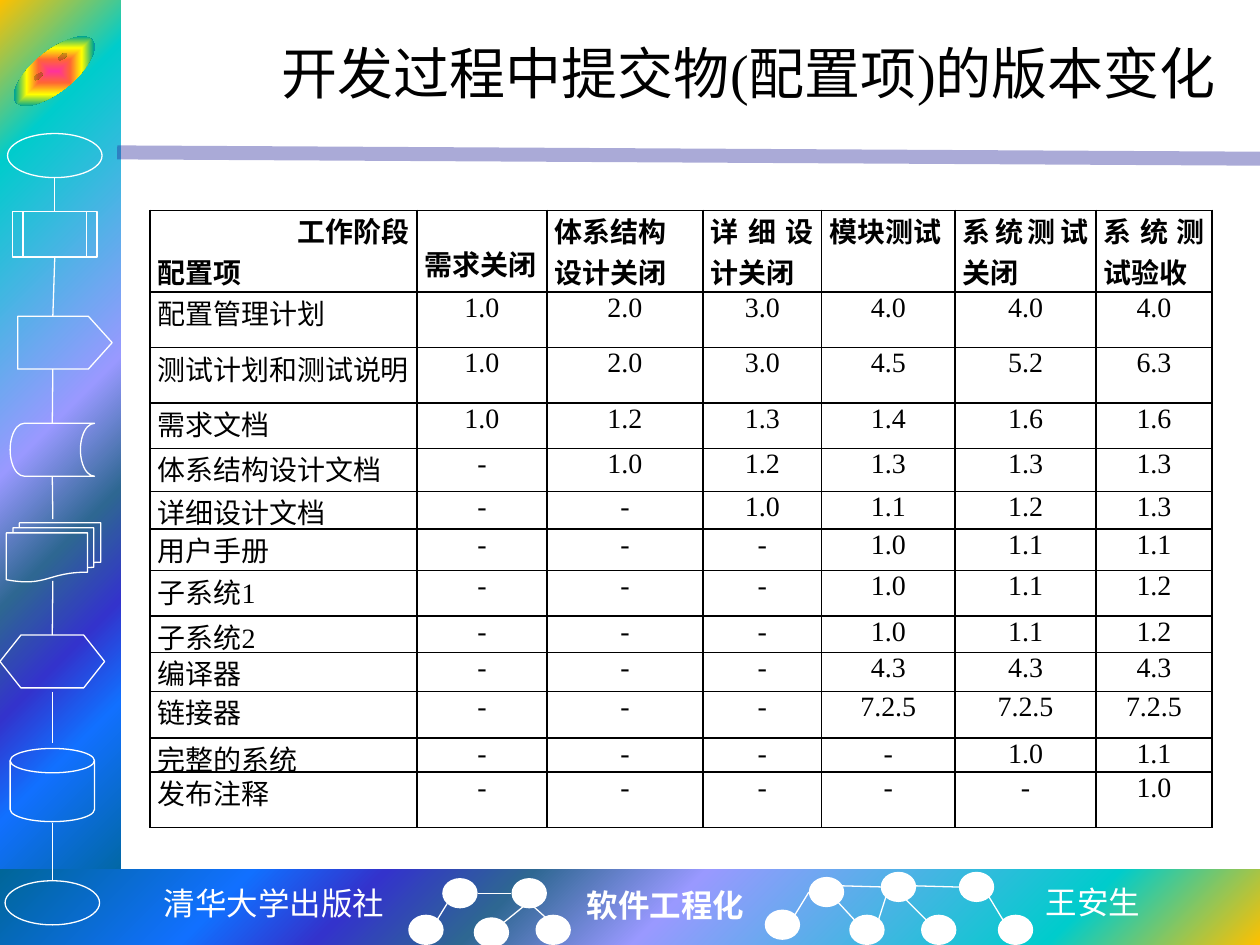
import pptx
import pptx.dml.color
import pptx.enum.shapes
import pptx.enum.text
import pptx.oxml
import pptx.oxml.ns
import pptx.util
from lxml import etree

Pt = pptx.util.Pt
SHAPE = pptx.enum.shapes.MSO_SHAPE
ALIGN = pptx.enum.text.PP_ALIGN
ANCHOR = pptx.enum.text.MSO_ANCHOR
qn = pptx.oxml.ns.qn

COLORS = {"white": "FFFFFF", "black": "000000", "rule": "262699"}
FONT, ASIAN_FONT = "Times New Roman", "Noto Sans CJK SC"

PANEL_STOPS = [(0, "FFC000"), (16, "00CCCC"), (47, "9999FF"), (60, "2E6792"),
               (71, "3333CC"), (81, "1170FF"), (100, "006699")]
FACE_STOPS = [(0, "FF3399"), (25, "FF6633"), (50, "FFFF00"), (75, "01A78F"), (100, "3366FF")]

# Flowchart symbols down the sidebar: name, preset, left, top, width, height
SYMBOLS = [
    ("start", SHAPE.OVAL, 4.3, 76.3, 54, 25.2),
    ("process", SHAPE.FLOWCHART_PREDEFINED_PROCESS, 7.2, 121, 48.2, 25.9),
    ("arrow", SHAPE.PENTAGON, 10.1, 180.7, 54, 30.2),
    ("storage", SHAPE.FLOWCHART_STORED_DATA, 5.8, 241.9, 48.2, 30.2),
    ("documents", SHAPE.FLOWCHART_MULTIDOCUMENT, 3.6, 298.8, 54, 33.8),
    ("preparation", SHAPE.FLOWCHART_PREPARATION, 0, 362.9, 59.8, 30.2),
    ("disk", SHAPE.FLOWCHART_MAGNETIC_DISK, 5.8, 427.7, 48.2, 41.8),
    ("end", SHAPE.OVAL, 2.9, 503.3, 54, 25.2),
]
# Links between symbols: ends, then the symbols joined at bottom and top
LINKS = [
    (31.3, 101.2, 31.3, 121, None, "process"),
    (31.3, 146.9, 30.2, 180.7, "process", None),
    (30.2, 211, 30.2, 241.9, None, "storage"),
    (30.2, 272.1, 30.2, 296.6, "storage", None),
    (30.2, 331.9, 30.2, 362.9, None, "preparation"),
    (30.2, 395.3, 30.2, 424.8, None, None),
    (30.2, 470.2, 30.2, 503.3, None, None),
]
# Trees of nodes in the footer
NODES = [(252.7, 501.8), (292.3, 501.8), (233.3, 522.7), (270.7, 524.2), (306, 522.7),
         (437, 519.8), (462.2, 501.1), (503.3, 498.2), (547.9, 498.2),
         (485.3, 522.7), (526.3, 522.7), (570.2, 522.7)]
BRANCHES = [(249.8, 525.6, 255.6, 516.2), (288, 527, 299.5, 517.7),
            (292.3, 510.5, 272.9, 510.5), (312.5, 524.9, 305.3, 518.4),
            (454.3, 522.7, 462.2, 509.8), (488.2, 525.6, 478.8, 515.5),
            (481, 506.2, 506.2, 506.9), (501.8, 526.3, 506.2, 512.6),
            (529.2, 525.6, 514.8, 511.2), (522.7, 506.2, 547.9, 506.9),
            (573.1, 525.6, 565.2, 512.6)]

COLUMN_WIDTHS = [152.6, 74.2, 89.3, 67.7, 76.3, 80.6, 66.2]
ROW_HEIGHTS = [46.8, 31.7, 31.7, 25.9, 24.5, 21.6, 23.8, 25.9, 20.9, 22.3, 26.6, 19.4, 31.7]
HEADINGS = ["工作阶段\n配置项", "需求关闭", "体系结构\n设计关闭", "详细设计关闭",
            "模块测试", "系统测试关闭", "系统测试验收"]
VERSIONS = [
    ("配置管理计划", "1.0 2.0 3.0 4.0 4.0 4.0"),
    ("测试计划和测试说明", "1.0 2.0 3.0 4.5 5.2 6.3"),
    ("需求文档", "1.0 1.2 1.3 1.4 1.6 1.6"),
    ("体系结构设计文档", "- 1.0 1.2 1.3 1.3 1.3"),
    ("详细设计文档", "- - 1.0 1.1 1.2 1.3"),
    ("用户手册", "- - - 1.0 1.1 1.1"),
    ("子系统1", "- - - 1.0 1.1 1.2"),
    ("子系统2", "- - - 1.0 1.1 1.2"),
    ("编译器", "- - - 4.3 4.3 4.3"),
    ("链接器", "- - - 7.2.5 7.2.5 7.2.5"),
    ("完整的系统", "- - - - 1.0 1.1"),
    ("发布注释", "- - - - - 1.0"),
]


def rgb(name):
    return pptx.dml.color.RGBColor.from_string(COLORS[name])


def write_text(frame, text, size=16, bold=False, color="black", font=FONT, align=ALIGN.LEFT):
    for index, line in enumerate(text.split("\n")):
        para = frame.paragraphs[0] if index == 0 else frame.add_paragraph()
        para.alignment = align
        span = para.add_run()
        span.text = line
        span.font.size, span.font.bold, span.font.name = Pt(size), bold, font
        span.font.color.rgb = rgb(color)
        etree.SubElement(span.font._element, qn("a:ea")).set("typeface", ASIAN_FONT)


def add_label(page, text, left, top, width, height, wrap=False, **style):
    box = page.shapes.add_textbox(Pt(left), Pt(top), Pt(width), Pt(height))
    box.text_frame.word_wrap = wrap
    if wrap:
        box.text_frame.vertical_anchor = ANCHOR.MIDDLE
    else:
        box.text_frame.auto_size = pptx.enum.text.MSO_AUTO_SIZE.SHAPE_TO_FIT_TEXT
    write_text(box.text_frame, text, **style)


def add_figure(page, preset, left, top, width, height, fill=None, line=None):
    figure = page.shapes.add_shape(preset, Pt(left), Pt(top), Pt(width), Pt(height))
    figure.shadow.inherit = False
    for part, color in ((figure.fill, fill), (figure.line.fill, line)):
        if color:
            part.solid()
            part.fore_color.rgb = rgb(color)
        else:
            part.background()
    figure.line.width = Pt(0.75)
    return figure


def set_gradient(figure, stops, kind, left, top, right, bottom):
    marks = "".join(f'<a:gs pos="{at * 1000}"><a:srgbClr val="{color}"/></a:gs>'
                    for at, color in stops)
    gradient = pptx.oxml.parse_xml(
        f'<a:gradFill {pptx.oxml.ns.nsdecls("a")} rotWithShape="1"><a:gsLst>{marks}</a:gsLst>'
        f'<a:path path="{kind}"><a:fillToRect l="{left}000" t="{top}000" '
        f'r="{right}000" b="{bottom}000"/></a:path></a:gradFill>')
    properties = figure._element.spPr
    properties.replace(properties.find(qn("a:noFill")), gradient)


def add_line(page, x1, y1, x2, y2, color="white", width=0.75, opacity=None):
    line = page.shapes.add_connector(pptx.enum.shapes.MSO_CONNECTOR.STRAIGHT,
                                     Pt(x1), Pt(y1), Pt(x2), Pt(y2))
    line.line.color.rgb = rgb(color)
    line.line.width = Pt(width)
    properties = line._element.spPr
    etree.SubElement(properties, qn("a:effectLst"))
    if opacity:
        tint = properties.find(".//" + qn("a:srgbClr"))
        etree.SubElement(tint, qn("a:alpha")).set("val", str(opacity * 1000))
    return line


def fill_cell(cell, text, **style):
    cell.margin_left = cell.margin_right = Pt(4.5)
    cell.margin_top = cell.margin_bottom = 0
    write_text(cell.text_frame, text, **style)
    properties = cell._tc.get_or_add_tcPr()
    for side in ("lnL", "lnR", "lnT", "lnB"):
        properties.append(pptx.oxml.parse_xml(
            f'<a:{side} {pptx.oxml.ns.nsdecls("a")} w="{Pt(1)}"><a:solidFill>'
            f'<a:srgbClr val="{COLORS["black"]}"/></a:solidFill></a:{side}>'))
    cell.fill.background()


def add_version_table(page):
    table = page.shapes.add_table(len(ROW_HEIGHTS), len(COLUMN_WIDTHS), Pt(85.7), Pt(120.2),
                                  Pt(sum(COLUMN_WIDTHS)), Pt(sum(ROW_HEIGHTS))).table
    table.first_row = table.horz_banding = False
    for column, width in zip(table.columns, COLUMN_WIDTHS):
        column.width = Pt(width)
    for row, height in zip(table.rows, ROW_HEIGHTS):
        row.height = Pt(height)
    for column, heading in enumerate(HEADINGS):
        fill_cell(table.cell(0, column), heading, bold=True, align=ALIGN.JUSTIFY)
    table.cell(0, 0).text_frame.paragraphs[0].alignment = ALIGN.RIGHT
    table.cell(0, 1).vertical_anchor = ANCHOR.BOTTOM
    table.cell(0, 1).margin_bottom = Pt(5)
    for row, (item, versions) in enumerate(VERSIONS, 1):
        fill_cell(table.cell(row, 0), item, align=ALIGN.JUSTIFY)
        for column, version in enumerate(versions.split(), 1):
            fill_cell(table.cell(row, column), version, align=ALIGN.CENTER)


def add_sidebar(page):
    symbols = {name: add_figure(page, *place, line="white") for name, *place in SYMBOLS}
    symbols["arrow"].adjustments[0] = 0.45
    for *ends, upper, lower in LINKS:
        link = add_line(page, *ends)
        if upper:
            link.begin_connect(symbols[upper], 2)
        if lower:
            link.end_connect(symbols[lower], 0)
    face = add_figure(page, SHAPE.SMILEY_FACE, 2.9, 29.2, 56.2, 23)
    face.adjustments[0] = 0.047
    face.rotation = -39
    set_gradient(face, FACE_STOPS, "shape", 50, 50, 50, 50)


def add_footer(page):
    for left, top in NODES:
        add_figure(page, SHAPE.OVAL, left, top, 20.2, 17.3, fill="white")
    for ends in BRANCHES:
        add_line(page, *ends)
    add_label(page, "清华大学出版社", 85.7, 501.8, 141.8, 28.8, size=18, color="white",
              font="Noto Sans Mono", align=ALIGN.CENTER)
    add_label(page, "软件工程化", 328.3, 502.6, 105.1, 28.8, size=18, color="white", bold=True)
    add_label(page, "王安生", 590.4, 501.1, 69.1, 28.8, size=18, color="white", font=ASIAN_FONT)


def main():
    deck = pptx.Presentation()
    deck.slide_width, deck.slide_height = Pt(720), Pt(540)
    page = deck.slides.add_slide(deck.slide_layouts[6])

    # Background panels and the rule under the title
    side_panel = add_figure(page, SHAPE.RECTANGLE, 0, 0, 69.1, 510.5)
    set_gradient(side_panel, PANEL_STOPS, "circle", 0, 0, 100, 100)
    foot_panel = add_figure(page, SHAPE.RECTANGLE, 0, 496.8, 720, 43.2)
    set_gradient(foot_panel, PANEL_STOPS, "circle", 100, 100, 0, 0)
    add_line(page, 67, 87.1, 720, 90.7, color="rule", width=8, opacity=39)

    add_sidebar(page)
    add_footer(page)

    # Title and version table
    add_label(page, "开发过程中提交物(配置项)的版本变化", 90, 12.2, 612, 58.3, wrap=True,
              size=32, align=ALIGN.RIGHT)
    add_version_table(page)
    deck.save("out.pptx")


if __name__ == "__main__":
    main()
